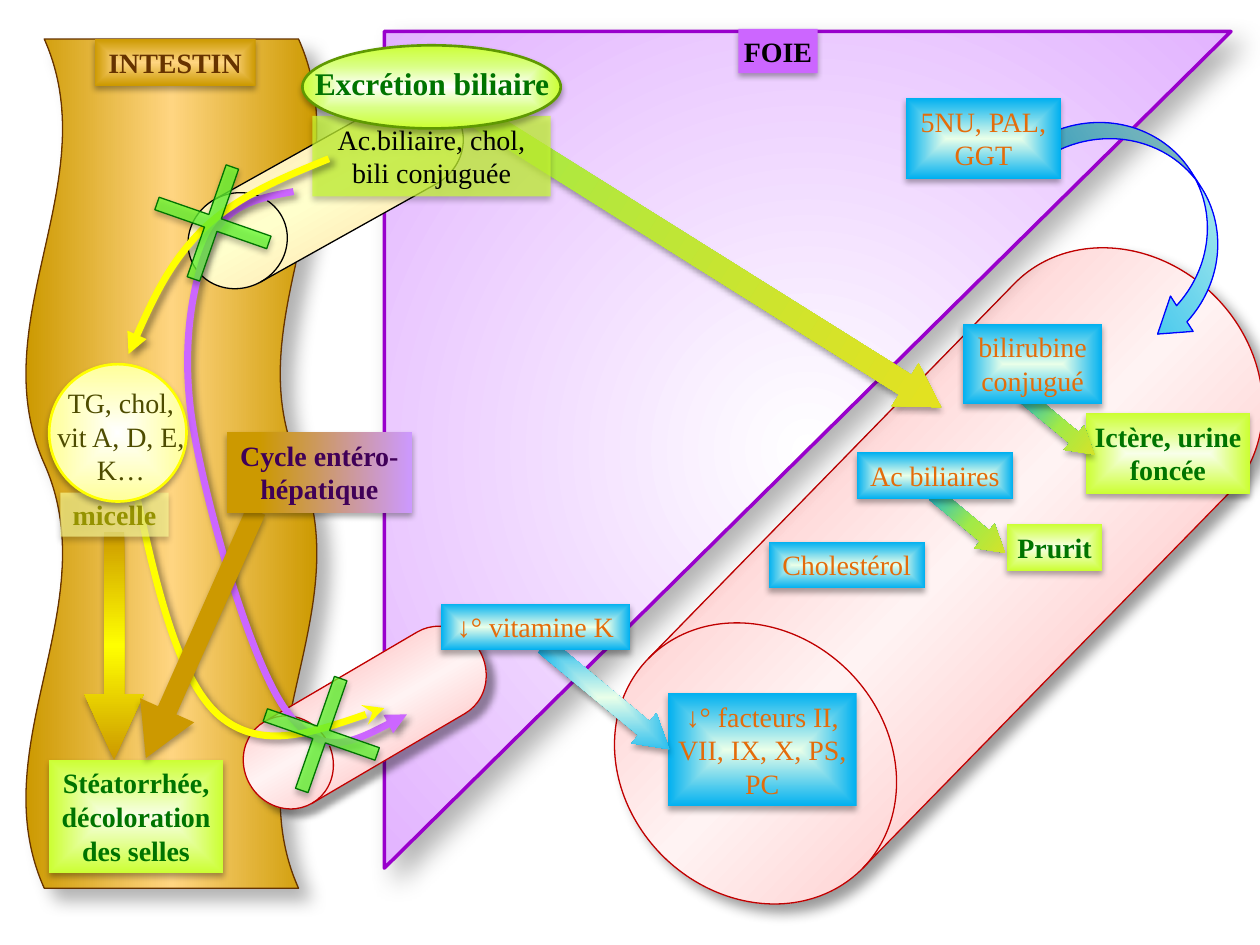
from dataclasses import dataclass
from typing import NamedTuple, Optional, Union

from pptx import Presentation
from pptx.dml.color import RGBColor
from pptx.enum.shapes import MSO_SHAPE
from pptx.enum.text import MSO_ANCHOR, MSO_AUTO_SIZE, PP_ALIGN
from pptx.oxml import parse_xml
from pptx.oxml.ns import nsdecls, qn
from pptx.util import Inches, Pt


class Gradient(NamedTuple):
    stops: tuple  # (percent, colour) pairs
    angle: Optional[int] = 0
    kind: str = "linear"  # or "rect" / "circle", spreading from the centre


class Solid(NamedTuple):
    colour: str
    opacity: int = 100


class Shadow(NamedTuple):
    opacity: int
    blur: float
    distance: float
    angle: int


class Outline(NamedTuple):
    colour: str
    width: float


def centred(inner: str, outer: str, kind: str = "rect") -> Gradient:
    return Gradient(((0, inner), (100, outer)), kind=kind)


def banded(edge: str, middle: str, angle: int = 0) -> Gradient:
    return Gradient(((0, edge), (50, middle), (100, edge)), angle)


@dataclass(frozen=True)
class Theme:
    font: str = "Times New Roman"
    body: int = 16
    heading: int = 18
    black: str = "000000"
    brown: str = "663300"
    ochre: str = "CC9900"
    green: str = "007400"
    orange: str = "E46C0A"
    plum: str = "3F0058"
    olive: str = "4E4C00"
    moss: str = "959200"
    yellow: str = "FFFF00"
    purple: str = "CC66FF"
    blood: Gradient = banded("FF8F8F", "FFF3F3")
    bile: Gradient = banded("FFCC99", "FFFFCC")
    gut: Gradient = banded("CC9900", "FFD581", 90)
    stool: Gradient = banded("CC9900", "FFFF00")
    liver: Gradient = centred("FFFFFF", "E2B3FF", "circle")
    gut_label: Gradient = centred("FFD581", "CC9900")
    sign: Gradient = centred("F8FFE9", "CCFF33")
    marker: Gradient = centred("E9FFE9", "00B0F0")
    micelle: Gradient = centred("FFFFFF", "FFFF99")
    excretion: Gradient = Gradient(((0, "FFFFFF"), (50, "D9FF85"), (100, "CCFF33")), kind="rect")
    enzyme: Gradient = Gradient(((0, "E9FFE9"), (100, "00B0F0")), 90)
    reflux: Gradient = Gradient(((0, "A1EA48"), (100, "E6E11F")))
    effect: Gradient = Gradient(((0, "00B0F0"), (50, "A1EA48"), (100, "E6E11F")))
    cycle: Gradient = Gradient(((18, "CC9900"), (100, "CC99FF")))
    vessel_edge: Outline = Outline("C00000", 0.75)
    soft: Shadow = Shadow(32, 3.5, 2.2, 90)
    curve_shadow: Shadow = Shadow(40, 4, 3, 45)


T = Theme()
NARROW = (0.02, 0.05)


class Figure(NamedTuple):
    preset: MSO_SHAPE
    box: tuple
    fill: Union[Gradient, Solid, None]
    outline: Optional[Outline] = None
    shadow: Optional[Shadow] = T.soft
    rotation: float = 0
    adjust: tuple = ()


class Label(NamedTuple):
    text: str
    box: tuple
    fill: Union[Gradient, Solid, None]
    colour: str
    bold: bool = False
    inset: tuple = (0.1, 0.05)
    size: int = T.body


class Curve(NamedTuple):
    points: tuple  # start, then three points for each Bézier segment
    colour: str
    head: str = "triangle"


def paint(shape, fill: Union[Gradient, Solid, None]) -> None:
    if fill is None:
        shape.fill.background()
        return
    shape.fill.solid()
    if isinstance(fill, Solid):
        stops = None
        body = f'<a:srgbClr val="{fill.colour}"><a:alpha val="{fill.opacity * 1000}"/></a:srgbClr>'
        xml = f'<a:solidFill {nsdecls("a")}>{body}</a:solidFill>'
    else:
        stops = "".join(f'<a:gs pos="{pos * 1000}"><a:srgbClr val="{colour}"/></a:gs>'
                        for pos, colour in fill.stops)
        spread = (f'<a:lin ang="{fill.angle * 60000}" scaled="0"/>' if fill.kind == "linear" else
                  f'<a:path path="{fill.kind}"><a:fillToRect l="50000" t="50000" '
                  'r="50000" b="50000"/></a:path>')
        xml = (f'<a:gradFill {nsdecls("a")} rotWithShape="1"><a:gsLst>{stops}</a:gsLst>'
               f'{spread}</a:gradFill>')
    properties = shape._element.spPr
    properties.replace(properties.find(qn("a:solidFill")), parse_xml(xml))


def finish(shape, outline: Optional[Outline], shadow: Optional[Shadow]) -> None:
    """Set the outline and the shadow."""
    if outline:
        shape.line.color.rgb = RGBColor.from_string(outline.colour)
        shape.line.width = Pt(outline.width)
    else:
        shape.line.fill.background()
    shape.shadow.inherit = False
    if shadow:
        shape._element.spPr.find(qn("a:effectLst")).append(parse_xml(
            f'<a:outerShdw {nsdecls("a")} blurRad="{Pt(shadow.blur)}" dist="{Pt(shadow.distance)}" '
            f'dir="{shadow.angle * 60000}" algn="ctr" rotWithShape="0"><a:srgbClr val="{T.black}">'
            f'<a:alpha val="{shadow.opacity * 1000}"/></a:srgbClr></a:outerShdw>'))


def write_text(shape, text: str, *, colour: str, bold: bool, size: int, inset: tuple) -> None:
    frame = shape.text_frame
    frame.word_wrap = True
    frame.auto_size = MSO_AUTO_SIZE.SHAPE_TO_FIT_TEXT
    frame.vertical_anchor = MSO_ANCHOR.TOP
    frame.margin_left = frame.margin_right = Inches(inset[0])
    frame.margin_top = frame.margin_bottom = Inches(inset[1])
    frame.text = text
    for paragraph in frame.paragraphs:
        paragraph.alignment = PP_ALIGN.CENTER
        font = paragraph.runs[0].font
        font.name, font.size, font.bold = T.font, Pt(size), bold
        font.color.rgb = RGBColor.from_string(colour)


def draw_figure(slide, figure: Figure) -> None:
    shape = slide.shapes.add_shape(figure.preset, *map(Inches, figure.box))
    shape.rotation = figure.rotation
    for index, value in enumerate(figure.adjust):
        shape.adjustments[index] = value
    paint(shape, figure.fill)
    finish(shape, figure.outline, figure.shadow)


def draw_label(slide, label: Label) -> None:
    box = tuple(map(Inches, label.box))
    if label.fill:
        shape = slide.shapes.add_shape(MSO_SHAPE.RECTANGLE, *box)
        paint(shape, label.fill)
        finish(shape, None, T.soft)
    else:
        shape = slide.shapes.add_textbox(*box)
    write_text(shape, label.text, colour=label.colour, bold=label.bold, size=label.size,
               inset=label.inset)


def draw_curve(slide, curve: Curve) -> None:
    start, *others = [(Inches(x), Inches(y)) for x, y in curve.points]
    builder = slide.shapes.build_freeform(*start)
    builder.add_line_segments(others, close=False)
    shape = builder.convert_to_shape()
    outline = shape._element.spPr.find(".//" + qn("a:path"))
    lines = outline.findall(qn("a:lnTo"))
    for first in range(0, len(lines), 3):
        bezier = parse_xml(f'<a:cubicBezTo {nsdecls("a")}/>')
        for line in lines[first:first + 3]:
            bezier.append(line[0])
            outline.remove(line)
        outline.append(bezier)
    paint(shape, None)
    finish(shape, Outline(curve.colour, 4), T.curve_shadow)
    shape.line._get_or_add_ln().append(parse_xml(f'<a:tailEnd {nsdecls("a")} type="{curve.head}"/>'))


def marker(text: str, *box: float, inset: tuple = (0.1, 0.05)) -> Label:
    return Label(text, box, T.marker, T.orange, inset=inset)


def sign(text: str, *box: float) -> Label:
    return Label(text, box, T.sign, T.green, True, NARROW)


def vessel(box: tuple, rotation: float, shadow: Optional[Shadow], fill: Gradient = T.blood,
           outline: Outline = T.vessel_edge) -> Figure:
    return Figure(MSO_SHAPE.FLOWCHART_MAGNETIC_DISK, box, fill, outline, shadow, rotation)


def arrow(box: tuple, rotation: float, fill: Union[Gradient, Solid],
          adjust: tuple = (0.463, 0.842)) -> Figure:
    return Figure(MSO_SHAPE.RIGHT_ARROW, box, fill, rotation=rotation, adjust=adjust)


def blockage(left: float, top: float) -> Figure:
    return Figure(MSO_SHAPE.CROSS, (left, top, 0.94, 0.94), Solid("66FF33", 74),
                  Outline(T.green, 0.75), rotation=19.2, adjust=(0.444,))


DIAGRAM = (
    vessel((6.26, 1.45, 2.38, 6.24), 224.3, Shadow(40, 7, 7, 45)),
    Figure(MSO_SHAPE.DOUBLE_WAVE, (-2.01, 2.52, 6.74, 2.32), T.gut, Outline(T.brown, 0.75),
           Shadow(30, 10, 10, 45), 90, (0.065, 0)),
    Figure(MSO_SHAPE.RIGHT_TRIANGLE, (3.09, 0.21, 6.64, 6.72), T.liver, Outline("9900CC", 2),
           Shadow(30, 15, 10, 45), 90),
    vessel((2.52, 4.64, 0.75, 2.11), 239.6, Shadow(40, 4, 6, 45)),
    Label("INTESTIN", (0.75, 0.31, 1.28, 0.37), T.gut_label, T.brown, True),
    Label("FOIE", (5.86, 0.23, 0.63, 0.35), Solid(T.purple), T.black, True, (0.04, 0.04)),
    vessel((2.21, 0.32, 0.75, 2.4), 240.8, None, T.bile, Outline(T.black, 0.75)),
    Curve(((2.33, 1.52), (2.06, 1.57), (1.79, 1.62), (1.66, 1.93), (1.53, 2.24), (1.43, 2.75),
           (1.53, 3.37), (1.63, 3.99), (1.99, 5.27), (2.28, 5.65), (2.56, 6.03), (2.89, 5.85),
           (3.23, 5.67)), T.purple),
    arrow((0, 4.89, 1.81, 0.47), 90, T.stool, (0.338, 1.107)),
    sign("Stéatorrhée,\ndécoloration des selles", 0.39, 6.03, 1.38, 0.9),
    sign("Prurit", 7.99, 4.16, 0.76, 0.37),
    sign("Ictère, urine foncée", 8.62, 3.28, 1.3, 0.64),
    marker("↓° facteurs II, VII, IX, X, PS, PC", 5.3, 5.5, 1.5, 0.9, inset=NARROW),
    marker("Cholestérol", 6.1, 4.3, 1.24, 0.37),
    Figure(MSO_SHAPE.CURVED_DOWN_ARROW, (8.14, 1.25, 1.98, 0.92), T.enzyme,
           Outline("0000FF", 0.75), None, 57.3, (0.166, 0.362, 0.27)),
    arrow((3.36, 1.85, 4.45, 0.4), 32.1, T.reflux),
    Label("Ac.biliaire, chol, bili conjuguée", (2.48, 0.92, 1.89, 0.64), Solid("CCFF33", 70), T.black),
    Figure(MSO_SHAPE.OVAL, (2.4, 0.36, 2.05, 0.66), T.excretion, Outline("5F9901", 1.5)),
    Label("Excrétion biliaire", (2.36, 0.46, 2.14, 0.4), None, T.green, True, (0.06, 0.05), T.heading),
    Curve(((2.61, 1.26), (2.24, 1.41), (1.88, 1.56), (1.61, 1.82), (1.35, 2.08), (1.18, 2.44),
           (1.02, 2.81)), T.yellow),
    arrow((4.17, 5.38, 1.29, 0.31), 39.6, T.marker),
    *(arrow((left, top, 0.73, 0.25), 39.6, T.effect) for left, top in ((7.33, 4.03), (8.04, 3.25))),
    marker("bilirubine conjugué", 7.64, 2.57, 1.11, 0.64),
    marker("Ac biliaires", 6.8, 3.59, 1.24, 0.37),
    marker("↓° vitamine K", 3.5, 4.79, 1.5, 0.37, inset=NARROW),
    Curve(((1.08, 3.91), (1.24, 4.65), (1.41, 5.39), (1.74, 5.68), (2.07, 5.96), (2.56, 5.79),
           (3.05, 5.62)), T.yellow, "stealth"),
    Label("micelle", (0.48, 3.91, 0.86, 0.35), Solid("FFFF99", 65), T.moss, True, (0.02, 0.04)),
    Figure(MSO_SHAPE.OVAL, (0.39, 2.89, 1.09, 1.09), T.micelle, Outline(T.yellow, 1.5)),
    Label("TG, chol, vit A, D, E, K…", (0.43, 3.01, 1.06, 0.91), None, T.olive, inset=NARROW),
    arrow((0.52, 4.8, 2.15, 0.47), 114, Solid(T.ochre), (0.338, 0.884)),
    Label("Cycle entéro-hépatique", (1.8, 3.43, 1.47, 0.64), T.cycle, T.plum, True),
    marker("5NU, PAL, GGT", 7.19, 0.78, 1.23, 0.64, inset=NARROW),
    blockage(1.22, 1.3),
    blockage(2.08, 5.36),
)


def main() -> None:
    deck = Presentation()
    deck.slide_width, deck.slide_height = Inches(10), Inches(7.5)
    slide = deck.slides.add_slide(deck.slide_layouts[6])
    painters = {Figure: draw_figure, Label: draw_label, Curve: draw_curve}
    for element in DIAGRAM:
        painters[type(element)](slide, element)
    deck.save("out.pptx")


if __name__ == "__main__":
    main()
